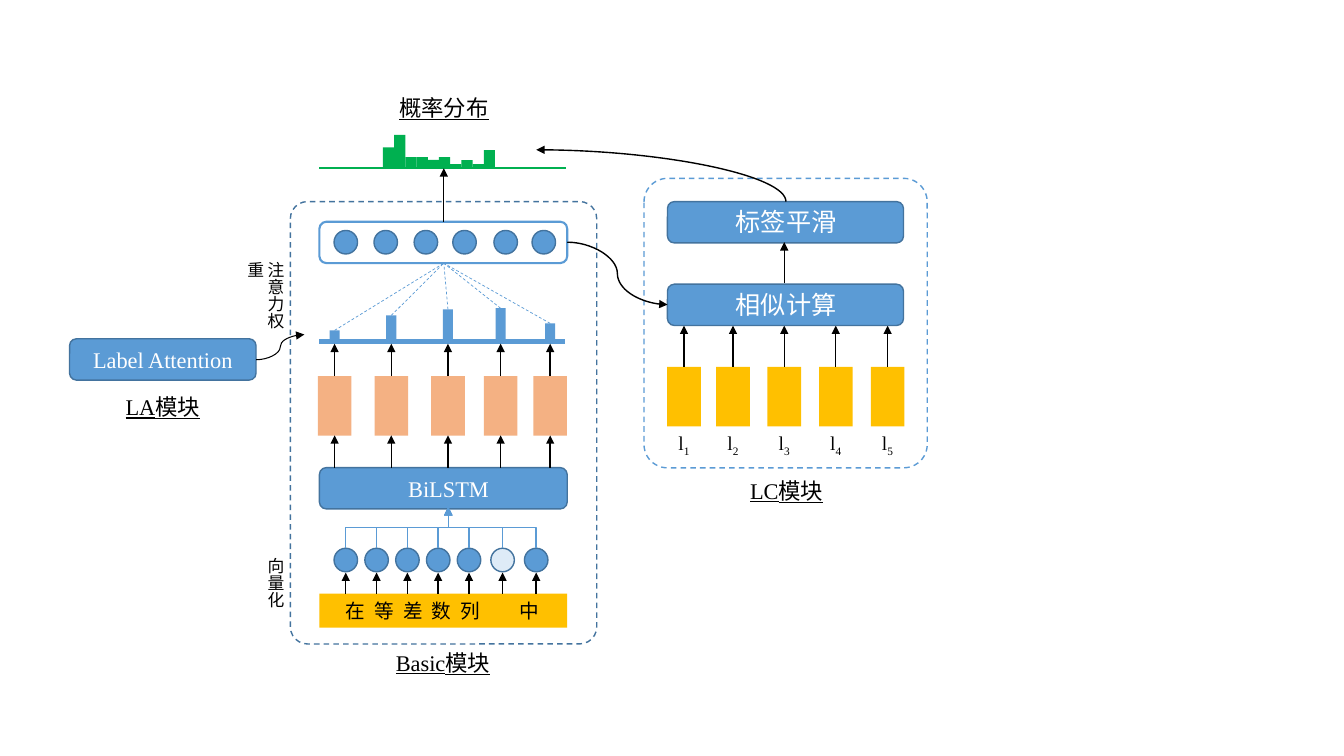
from lxml import etree
from pptx import Presentation
from pptx.dml.color import RGBColor
from pptx.enum.dml import MSO_LINE
from pptx.enum.shapes import MSO_CONNECTOR, MSO_SHAPE
from pptx.enum.text import MSO_ANCHOR, MSO_AUTO_SIZE, PP_ALIGN
from pptx.oxml.ns import qn
from pptx.util import Pt

RECT, ROUND, OVAL = MSO_SHAPE.RECTANGLE, MSO_SHAPE.ROUNDED_RECTANGLE, MSO_SHAPE.OVAL
STRAIGHT, ELBOW, CURVE = MSO_CONNECTOR.STRAIGHT, MSO_CONNECTOR.ELBOW, MSO_CONNECTOR.CURVE
DASH = MSO_LINE.DASH
LEFT, CENTER = PP_ALIGN.LEFT, PP_ALIGN.CENTER
LATIN, HAN = "Times New Roman", "Calibri"
COLORS = {
    "blue": "5B9BD5", "edge": "43739E", "pale": "DEEBF7", "gold": "FFC000",
    "peach": "F4B183", "green": "00B050", "black": "000000", "white": "FFFFFF",
}

BAR_H = 29.5        # height of every module bar
DOT = 16.8          # diameter of every node
CELL_W, CELL_H = 24, 42.5


def rgb(color):
    return RGBColor.from_string(COLORS[color])


def add_box(slide, kind, left, top, width, height, fill=None, line=None,
            weight=1, dash=None, corner=None):
    box = slide.shapes.add_shape(kind, Pt(left), Pt(top), Pt(width), Pt(height))
    box.shadow.inherit = False
    if fill:
        box.fill.solid()
        box.fill.fore_color.rgb = rgb(fill)
    else:
        box.fill.background()
    if line:
        box.line.color.rgb = rgb(line)
        box.line.width = Pt(weight)
        if dash:
            box.line.dash_style = dash
    else:
        box.line.fill.background()
    if corner is not None:
        box.adjustments[0] = corner
    return box


def add_bar(slide, left, top, width):
    add_box(slide, ROUND, left, top, width, BAR_H, "blue", "edge")


def add_node(slide, x, y, fill="blue"):
    add_box(slide, OVAL, x - DOT / 2, y - DOT / 2, DOT, DOT, fill, "edge")


def add_cell(slide, x, top, fill):
    add_box(slide, RECT, x - CELL_W / 2, top, CELL_W, CELL_H, fill)


def add_link(slide, start, end, color="black", weight=1, kind=STRAIGHT,
             arrow=True, dash=None):
    link = slide.shapes.add_connector(kind, *map(Pt, (*start, *end)))
    link.line.color.rgb = rgb(color)
    link.line.width = Pt(weight)
    if dash:
        link.line.dash_style = dash
    properties = link._element.spPr
    if arrow:
        etree.SubElement(properties.find(qn("a:ln")), qn("a:tailEnd"), type="triangle")
    etree.SubElement(properties, qn("a:effectLst"))
    return link


def add_upward_link(slide, start, end, color, kind, preset):
    """Connector that leaves its start vertically: a sideways one turned by 270 degrees."""
    (x1, y1), (x2, y2) = start, end
    mid_x, mid_y = (x1 + x2) / 2, (y1 + y2) / 2
    half_w, half_h = (y1 - y2) / 2, (x2 - x1) / 2
    link = add_link(slide, (mid_x - half_w, mid_y - half_h),
                    (mid_x + half_w, mid_y + half_h), color, kind=kind)
    properties = link._element.spPr
    properties.find(qn("a:xfrm")).set("rot", str(270 * 60000))
    properties.find(qn("a:prstGeom")).set("prst", preset)


def style_runs(paragraph, size, font, color, underline=False):
    for run in paragraph.runs:
        run.font.size = Pt(size)
        run.font.name = font
        run.font.color.rgb = rgb(color)
        if underline:
            run.font.underline = True


def add_text(slide, text, left, top, width, height, size=16, font=LATIN,
             color="black", underline=False, align=CENTER, wrap=True):
    box = slide.shapes.add_textbox(Pt(left), Pt(top), Pt(width), Pt(height))
    frame = box.text_frame
    frame.word_wrap = wrap
    frame.auto_size = MSO_AUTO_SIZE.SHAPE_TO_FIT_TEXT
    frame.text = text
    frame.paragraphs[0].alignment = align
    style_runs(frame.paragraphs[0], size, font, color, underline)
    return box


def add_title(slide, text, left, top, font=LATIN):
    add_text(slide, text, left, top, 94.3, 26.6, font=font, underline=True)


def add_vertical_text(slide, text, top, height):
    box = add_text(slide, text, 178.6, top, 28.8, height, 12, HAN, align=LEFT)
    box.text_frame._txBody.bodyPr.set("vert", "eaVert")


def add_label_name(slide, x, number):
    box = add_text(slide, "l", x - 11.5, 304, 23, 24.2, 14, wrap=False)
    paragraph = box.text_frame.paragraphs[0]
    paragraph.add_run().text = str(number)
    style_runs(paragraph, 14, LATIN, "black")
    paragraph.runs[1].font._element.set("baseline", "-25000")


def add_words(slide):
    strip = add_box(slide, RECT, 228.2, 424, 177, 24.3, "gold")
    frame = strip.text_frame
    frame.margin_left, frame.margin_right = Pt(18.8), 0
    frame.vertical_anchor = MSO_ANCHOR.MIDDLE
    frame.text = "\t".join("在等差数列中")
    paragraph = frame.paragraphs[0]
    paragraph.alignment = LEFT
    style_runs(paragraph, 14, HAN, "black")
    stops = etree.SubElement(paragraph._p.get_or_add_pPr(), qn("a:tabLst"))
    for stop in (20.5, 41, 61.5, 82, 124):
        etree.SubElement(stops, qn("a:tab"), pos=str(Pt(stop)), algn="l")


def draw_basic_module(slide):
    # Words and their vectors
    add_words(slide)
    word_xs = [247 + 22 * i for i in range(5)] + [359, 383]
    add_bar(slide, 228.2, 334, 177)
    add_text(slide, "BiLSTM", 255.6, 335.5, 129.6, 26.6, color="white")
    for x in word_xs:
        add_node(slide, x, 400, "pale" if x == 359 else "blue")
        add_link(slide, (x, 424), (x, 409))
        add_upward_link(slide, (x, 391.6), (320.2, 362.2), "blue", ELBOW, "bentConnector3")

    # Attention output
    add_box(slide, ROUND, 228.2, 158.4, 177, BAR_H, line="blue", weight=1.5)
    for x in (247, 275.5, 304.2, 331.8, 361.2, 388.4):
        add_node(slide, x, 173)

    # Hidden states and attention weights
    add_link(slide, (228.2, 244), (403.4, 244), "blue", 3, arrow=False)
    weights = {239: 8, 279.5: 18.7, 320: 23, 357.6: 23.8, 393: 13}
    for x, weight in weights.items():
        add_cell(slide, x, 268.6, "peach")
        add_link(slide, (x, 334), (x, 311))
        add_box(slide, RECT, x - 3.6, 244 - weight, 7.2, weight, "blue")
        add_link(slide, (x, 268.6), (x, 245.5))
        add_link(slide, (x, 244 - weight), (317, 188), "blue", 0.5, arrow=False, dash=DASH)

    add_box(slide, ROUND, 207.4, 144, 218.9, 316, line="edge", dash=DASH, corner=0.056)
    add_vertical_text(slide, "向量化", 391.6, 64.8)
    add_vertical_text(slide, "注意力权重", 180, 73.4)
    add_title(slide, "Basic模块", 269.3, 460)


def draw_la_module(slide):
    add_bar(slide, 49.7, 242, 133.2)
    add_text(slide, "Label Attention", 49.7, 243.4, 133.2, 26.6, color="white")
    add_link(slide, (182.9, 257), (217.4, 239), weight=0.75, kind=CURVE)
    add_title(slide, "LA模块", 69.1, 277.2)


def draw_distribution(slide):
    base = 120.2
    add_link(slide, (228.2, base), (404, base), "green", 1.5, arrow=False)
    heights = (15, 23.8, 7.9, 7.9, 6, 7.9, 2.9, 5.8, 2.9, 13)
    for i, height in enumerate(heights):
        add_box(slide, RECT, 273.6 + 8 * i, base - height, 8, height, "green")
    add_link(slide, (317, 158.4), (317, base))
    add_title(slide, "概率分布", 270, 63.4, HAN)


def draw_lc_module(slide):
    for number, x in enumerate((488.6, 523.6, 560.2, 597, 634), 1):
        add_cell(slide, x, 262, "gold")
        add_label_name(slide, x, number)
        add_link(slide, (x, 262), (x, 232.6))
    for text, top in (("相似计算", 203), ("标签平滑", 144)):
        add_bar(slide, 476.8, top, 168.6)
        add_text(slide, text, 518.4, top, 86.4, 28.8, 18, HAN, "white", wrap=False)
    add_link(slide, (560.2, 202.5), (560.2, 173))
    add_box(slide, ROUND, 460, 127.4, 202.3, 206.8, line="blue", dash=DASH, corner=0.083)
    add_title(slide, "LC模块", 514.8, 337)


def main():
    deck = Presentation()
    deck.slide_width, deck.slide_height = Pt(960), Pt(540)
    slide = deck.slides.add_slide(deck.slide_layouts[6])
    draw_basic_module(slide)
    draw_la_module(slide)
    draw_distribution(slide)
    draw_lc_module(slide)
    # Links between the modules
    add_link(slide, (405.2, 173), (476.8, 217.6), kind=CURVE)
    add_upward_link(slide, (561.4, 144), (383, 107), "black", CURVE, "curvedConnector2")
    deck.save("out.pptx")


main()
